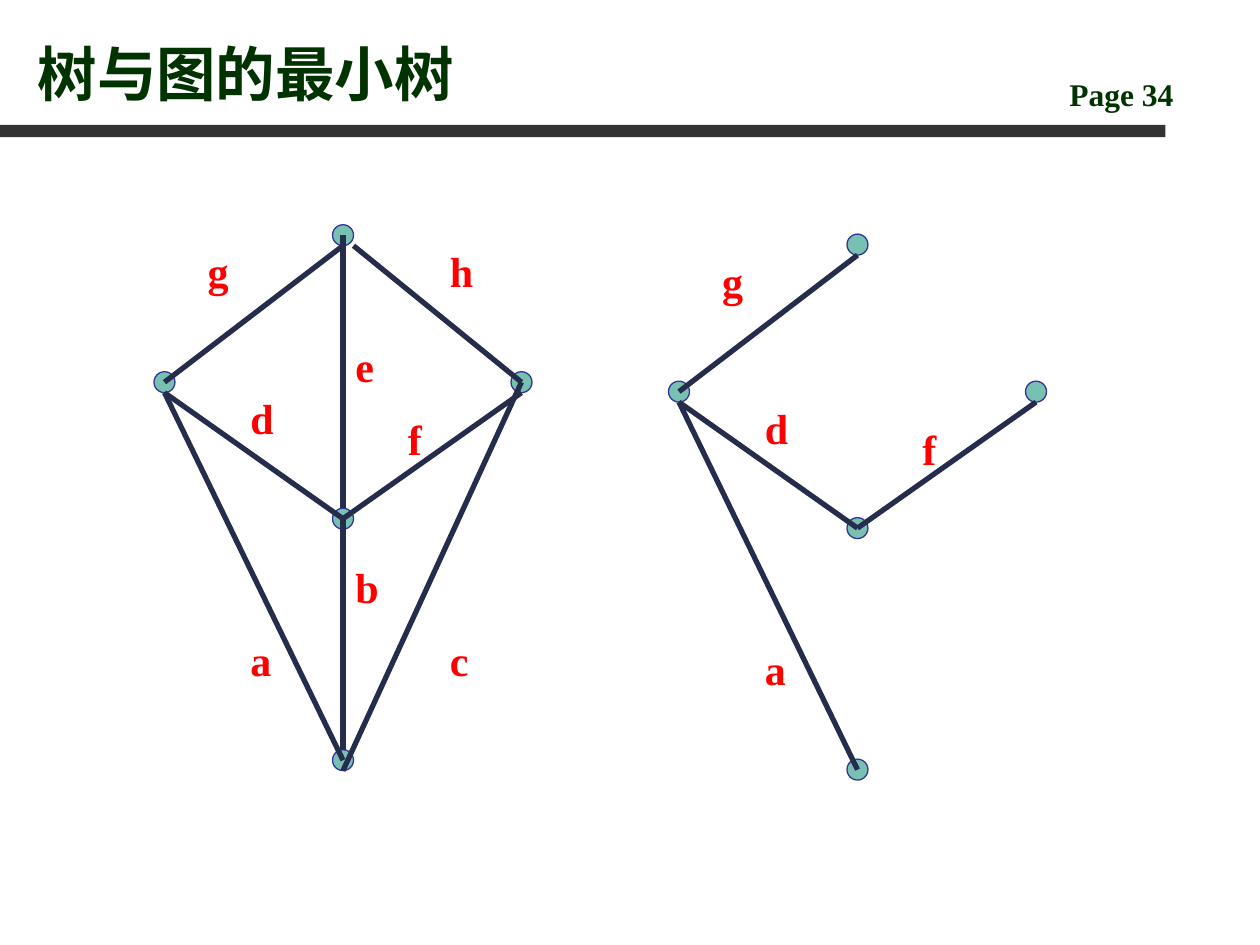
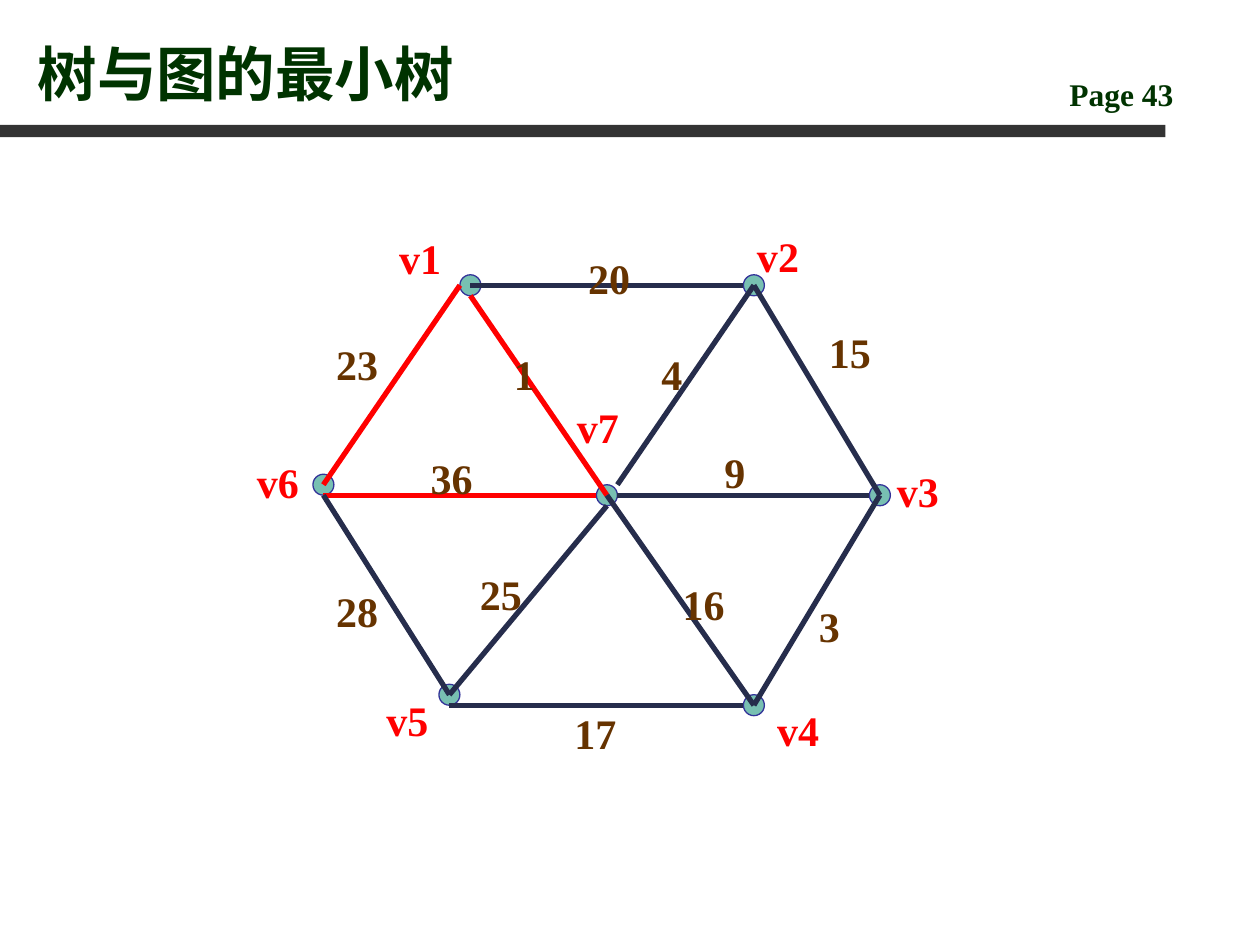
from dataclasses import dataclass

from lxml import etree
from pptx import Presentation
from pptx.dml.color import RGBColor
from pptx.enum import shapes, text
from pptx.oxml.ns import qn
from pptx.util import Pt


@dataclass(frozen=True)
class Theme:
    font: str = "Times New Roman"
    heading: str = "003300"
    band: str = "333333"
    node: str = "78C0B2"
    node_line: str = "333399"
    edge: str = "262D4C"
    red: str = "FF0000"
    weight: str = "663300"
    title_size: float = 34
    page_size: float = 18
    label_size: float = 24


T = Theme()
R = 6  # node radius


def add_text(s, words, *, at, color, size, anchor=text.MSO_ANCHOR.TOP, top=R):
    left, y, width, height = at
    tf = s.shapes.add_textbox(Pt(left), Pt(y), Pt(width), Pt(height)).text_frame
    tf.word_wrap = True
    tf.vertical_anchor = anchor
    tf.margin_top = Pt(top)
    p = tf.paragraphs[0]
    r = p.add_run()
    r.text = words
    r.font.name, r.font.size, r.font.bold = T.font, Pt(size), True
    r.font.color.rgb = RGBColor.from_string(color)


def add_graph(s, nodes, edges, labels, label_width, dx=0, dy=0):
    """Draw nodes, edges and labels, moved by (dx, dy).

    An edge is (node, node, colour, start nudge, end nudge), nudges in radii.
    """
    for x, y in nodes.values():
        sp = s.shapes.add_shape(shapes.MSO_SHAPE.OVAL, Pt(x + dx - R), Pt(y + dy - R),
                                Pt(2 * R), Pt(2 * R))
        sp.shadow.inherit = False
        sp.fill.solid()
        sp.fill.fore_color.rgb = RGBColor.from_string(T.node)
        sp.line.color.rgb = RGBColor.from_string(T.node_line)
        sp.line.width = Pt(0.75)
    for start, end, color, *nudges in edges:
        ends = []
        for name, (nx, ny) in zip((start, end), nudges):
            x, y = nodes[name]
            ends += [Pt(x + dx + nx * R), Pt(y + dy + ny * R)]
        line = s.shapes.add_connector(shapes.MSO_CONNECTOR.STRAIGHT, *ends)
        line.line.color.rgb = RGBColor.from_string(color)
        line.line.width = Pt(3)
        etree.SubElement(line._element.spPr, qn("a:effectLst"))
    for words, x, y, color in labels:
        add_text(s, words, at=(x + dx, y + dy, label_width, 36), color=color,
                 size=T.label_size)


prs = Presentation()
prs.slide_width, prs.slide_height = Pt(720), Pt(540)

# Shared title, page number and band
slides = []
for page in (34, 43):
    s = prs.slides.add_slide(prs.slide_layouts[6])
    band = s.shapes.add_shape(shapes.MSO_SHAPE.RECTANGLE, 0, Pt(71.4), Pt(666), Pt(7))
    band.shadow.inherit = False
    band.fill.solid()
    band.fill.fore_color.rgb = RGBColor.from_string(T.band)
    band.line.fill.background()
    add_text(s, f"Page {page}", at=(604, 36.7, 102, 29), color=T.heading, size=T.page_size)
    add_text(s, "树与图的最小树", at=(14.4, 9.4, 578, 56), color=T.heading,
             size=T.title_size, anchor=text.MSO_ANCHOR.BOTTOM, top=3.6)
    slides.append(s)

# Nudges from a node's centre
MID, UP, DOWN, LEFT, RIGHT = (0, 0), (0, -1), (0, 1), (-1, 0), (1, 0)

# Slide 1: a graph and one of its spanning trees
nodes = {"top": (196, 134.4), "right": (298, 218.4), "left": (94, 218.4),
         "centre": (196, 296.4), "base": (196, 434.4)}
edges = {
    "g": ("left", "top", T.edge, MID, DOWN),
    "h": ("top", "right", T.edge, (1, 1), MID),
    "e": ("top", "centre", T.edge, MID, UP),
    "d": ("left", "centre", T.edge, DOWN, MID),
    "f": ("right", "centre", T.edge, DOWN, MID),
    "b": ("centre", "base", T.edge, MID, UP),
    "a": ("left", "base", T.edge, DOWN, MID),
    "c": ("right", "base", T.edge, MID, DOWN),
}
label_places = {"a": (136, 356.4), "b": (196, 314.6), "c": (250, 356.4), "f": (226, 230.4),
                "e": (196, 188.6), "d": (136, 218.4), "h": (250, 134.4), "g": (111.6, 134.4)}
for kept, dx, dy in (("gdfa", 294, 5.4), ("ghedfbac", 0, 0)):
    add_graph(slides[0], nodes, [edges[k] for k in kept],
              [(k, *label_places[k], T.red) for k in kept], 30, dx, dy)

# Slide 2: weighted graph with one cycle in red
nodes = {"v7": (346.8, 283), "v4": (430.8, 403), "v5": (256.8, 397), "v2": (430.8, 163),
         "v3": (502.8, 283), "v6": (184.8, 277), "v1": (268.8, 163)}
edges = [
    ("v1", "v2", T.edge, MID, LEFT),
    ("v1", "v6", T.red, LEFT, MID),
    ("v2", "v3", T.edge, MID, MID),
    ("v1", "v7", T.red, DOWN, MID),
    ("v2", "v7", T.edge, MID, (1, -1)),
    ("v6", "v7", T.red, DOWN, LEFT),
    ("v7", "v3", T.edge, RIGHT, LEFT),
    ("v6", "v5", T.edge, DOWN, MID),
    ("v7", "v5", T.edge, DOWN, MID),
    ("v7", "v4", T.edge, MID, MID),
    ("v5", "v4", T.edge, DOWN, LEFT),
    ("v3", "v4", T.edge, MID, MID),
]
names = [("v1", 221, 126.7), ("v7", 322.6, 223.2), ("v4", 437, 396.7), ("v3", 505.4, 259.9),
         ("v2", 425.5, 126), ("v5", 213.8, 391), ("v6", 139.7, 254.9)]
weights = [("20", 329, 138.2), ("15", 466.6, 180.7), ("9", 406.8, 249.1), ("16", 383, 324.7),
           ("25", 267.1, 319), ("3", 460.8, 337), ("28", 185, 328.3), ("17", 321.1, 398.2),
           ("4", 370.8, 193), ("1", 286.6, 193), ("23", 185, 187.2), ("36", 239, 252.7)]
labels = [(*n, T.red) for n in names] + [(*w, T.weight) for w in weights]
add_graph(slides[1], nodes, edges, labels, 42)

prs.save("out.pptx")
